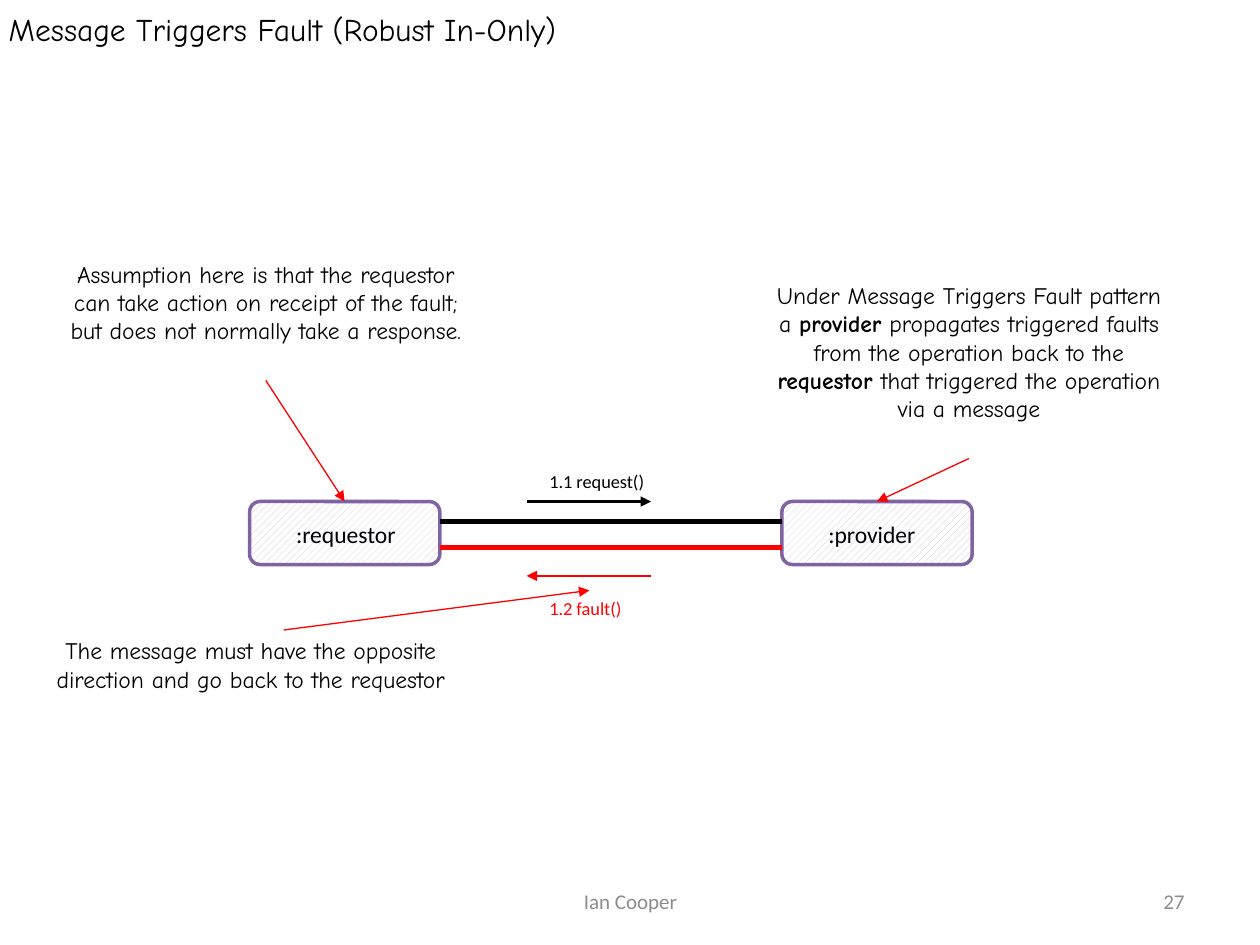
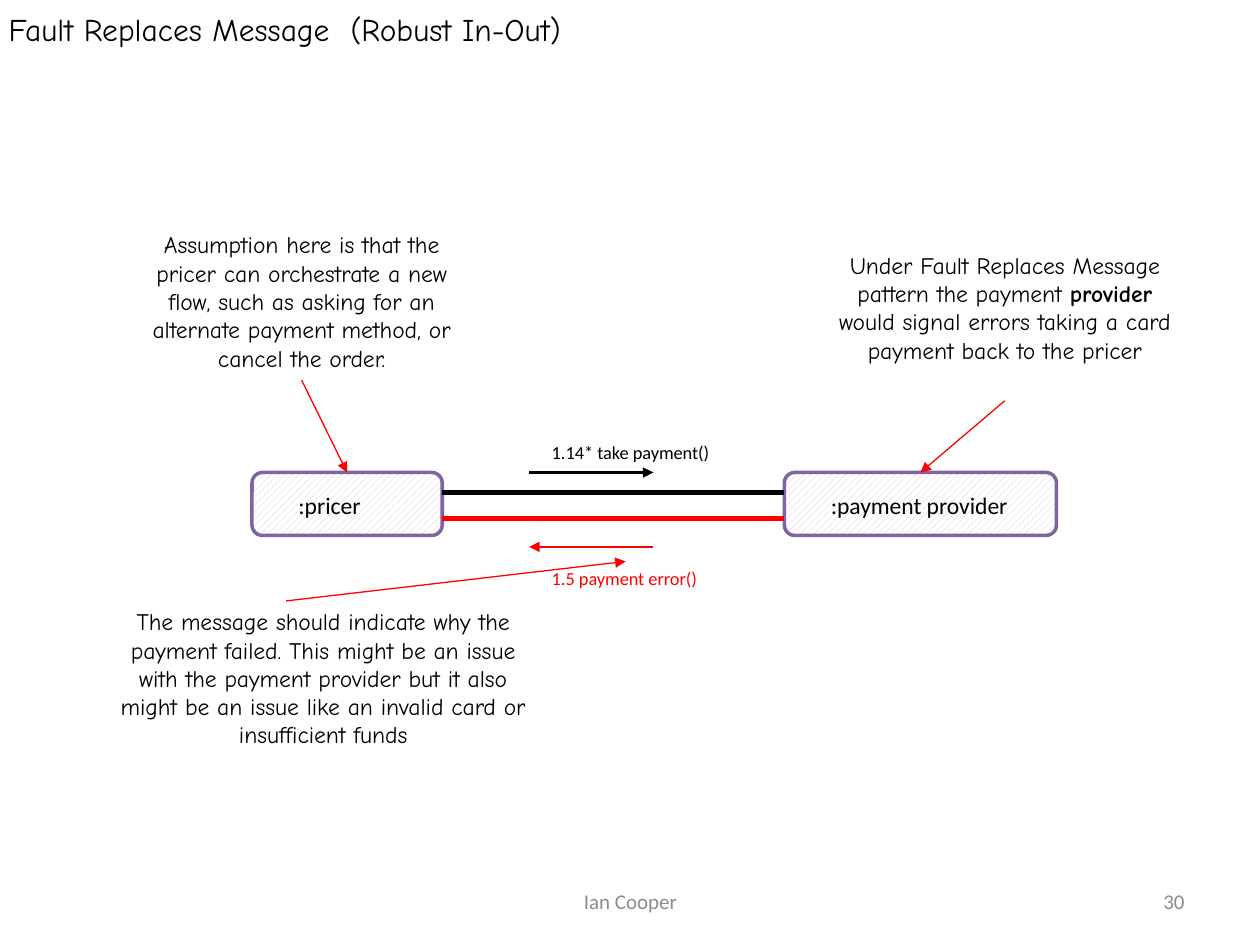
from lxml import etree
from pptx import Presentation
from pptx.dml.color import RGBColor
from pptx.enum import dml, shapes, text
from pptx.oxml import ns
from pptx.util import Pt

rgb = RGBColor.from_string
BLACK, RED, GREY = "000000", "FF0000", "8C8C8C"
EDGE, HATCH, WHITE = "8064A2", "CCC1DA", "FFFFFF"
HAND, PLAIN = "Comic Neue", "Calibri"
LEFT, MID, RIGHT = text.PP_ALIGN.LEFT, text.PP_ALIGN.CENTER, text.PP_ALIGN.RIGHT


def write(slide, words, area, size, face=PLAIN, hue=BLACK, align=LEFT):
    """Add a text box; words between asterisk pairs (**) are bold."""
    box = slide.shapes.add_textbox(*map(Pt, area))
    box.text_frame.word_wrap = True
    para = box.text_frame.paragraphs[0]
    para.alignment = align
    para.font.size, para.font.name = Pt(size), face
    para.font.color.rgb = rgb(hue)
    for i, part in enumerate(words.split("**")):
        run = para.add_run()
        run.text = part
        if i % 2:
            run.font.bold = True
    return box


def draw(slide, ends, hue, width, head=True):
    """Add a straight line from (x1, y1) to (x2, y2), with an arrowhead if asked."""
    line = slide.shapes.add_connector(shapes.MSO_CONNECTOR.STRAIGHT, *map(Pt, ends))
    line.line.color.rgb, line.line.width = rgb(hue), Pt(width)
    if head:
        etree.SubElement(line.line._get_or_add_ln(), ns.qn("a:tailEnd"), type="triangle")
    etree.SubElement(line._element.spPr, ns.qn("a:effectLst"))
    return line


# Each node: name, box width, name width, note, note area.
# Each call: label and its width. The reply has a note and its area too.
pages = [
    dict(title="Message Triggers Fault (Robust In-Only)", number="27", x=142.6, y=286.6,
         nodes=[(":requestor", 108.7, 78.5,
                 "Assumption here is that the requestor can take action on receipt of "
                 "the fault; but does not normally take a response.",
                 (30.2, 144.7, 243.4, 72.7)),
                (":provider", 108.7, 69,
                 "Under Message Triggers Fault pattern a **provider** propagates triggered "
                 "faults from the operation back to the **requestor **that triggered the "
                 "operation via a message",
                 (432, 157, 243.4, 105))],
         call=("1.1 request()", 85), reply=("1.2 fault()", 60),
         note="The message must have the opposite direction and go back to the requestor",
         area=(21.6, 360, 243.4, 56)),
    dict(title="Fault Replaces Message  (Robust In-Out)", number="30", x=144, y=270,
         nodes=[(":pricer", 108.7, 69,
                 "Assumption here is that the pricer can orchestrate a new flow, such as "
                 "asking for an alternate payment method, or cancel the order.",
                 (69.8, 128, 205.2, 89.3)),
                (":payment provider", 155.5, 120.2,
                 "Under Fault Replaces Message pattern the payment **provider** would "
                 "signal errors taking a card payment back to the pricer",
                 (471.6, 139.7, 205.2, 89.3))],
         call=("1.14* take payment()", 115.2), reply=("1.5 payment error()", 98.6),
         note="The message should indicate why the payment failed. This might be an issue "
              "with the payment provider but it also might be an issue like an invalid "
              "card or insufficient funds",
         area=(61.2, 343.4, 247, 89.3)),
]

deck = Presentation()
deck.slide_width, deck.slide_height = Pt(720), Pt(540)

for page in pages:
    slide = deck.slides.add_slide(deck.slide_layouts[5])
    x, y = page["x"], page["y"]

    title = slide.shapes.title
    title.left, title.top, title.width, title.height = map(Pt, (0, 0.7, 720, 32.4))
    frame = title.text_frame
    frame.text = page["title"]
    frame.margin_left = frame.margin_right = frame.margin_top = frame.margin_bottom = Pt(5)
    frame.vertical_anchor = text.MSO_ANCHOR.TOP
    para = frame.paragraphs[0]
    para.alignment = LEFT
    para.font.size, para.font.name = Pt(18), HAND
    para.font.color.rgb = rgb(BLACK)

    for words, left, width, align in (("Ian Cooper", 246.2, 228.2, MID),
                                      (page["number"], 516.2, 167.8, RIGHT)):
        foot = write(slide, words, (left, 500.4, width, 28.8), 12, hue=GREY, align=align)
        foot.text_frame.vertical_anchor = text.MSO_ANCHOR.MIDDLE

    for i, (name, width, span, note, area) in enumerate(page["nodes"]):
        left = x + 304.2 * i
        node = slide.shapes.add_shape(shapes.MSO_SHAPE.ROUNDED_RECTANGLE,
                                      *map(Pt, (left, y, width, 36)))
        node.shadow.inherit = False
        node.fill.patterned()
        node.fill.pattern = dml.MSO_PATTERN.WIDE_UPWARD_DIAGONAL
        node.fill.fore_color.rgb, node.fill.back_color.rgb = rgb(HATCH), rgb(WHITE)
        node.line.color.rgb, node.line.width = rgb(EDGE), Pt(2)
        write(slide, name, (left + 19.5, y + 7.2, span, 23.8), 13.5)
        hint = write(slide, note, area, 13.5, HAND, align=MID)
        arrow = draw(slide, (0, 0, 0, 0), RED, 0.75)
        arrow.begin_connect(hint, 2)
        arrow.end_connect(node, 0)

    start, stop = x + 158.4, x + 229.4
    for (words, span), hue, link, ends, top in (
            (page["call"], BLACK, 11.5, (start, y, stop, y), y - 21.6),
            (page["reply"], RED, 26.3, (stop, y + 42.5, start, y + 42.5), y + 50.8)):
        draw(slide, (x + 108.7, y + link, x + 304.2, y + link), hue, 2.5, head=False)
        draw(slide, ends, hue, 1.5)
        label = write(slide, words, (x + 164.2, top, span, 20.2), 10.5, hue=hue)

    write(slide, page["note"], page["area"], 13.5, HAND, align=MID)
    arrow = draw(slide, (x + 19.5, page["area"][1], 0, 0), RED, 0.75)
    arrow.end_connect(label, 0)

deck.save("out.pptx")
